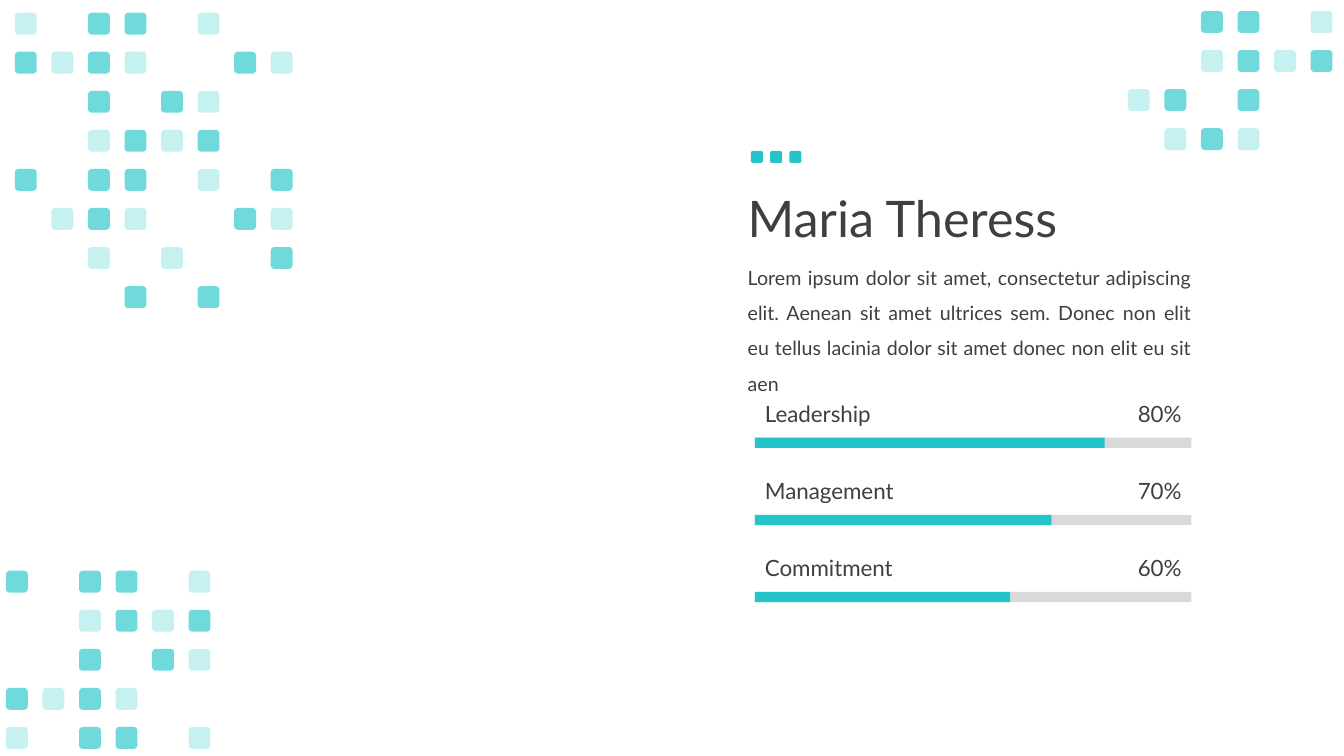
from lxml.etree import SubElement
from pptx import Presentation
from pptx.dml.color import RGBColor
from pptx.enum.shapes import MSO_SHAPE
from pptx.enum.text import MSO_ANCHOR, MSO_AUTO_SIZE, PP_ALIGN
from pptx.oxml.ns import qn
from pptx.util import Pt

TEAL, GREY, INK = "23C5CA", "D9D9D9", "3F3F3F"
TILE, COLUMN_STEP, ROW_STEP = 15.6, 26.1, 27.9
OPACITY = {"#": 65, "+": 25}

# (left, top, rows): "#" is a strong tile, "+" a pale one, "." a gap
BOTTOM_LEFT = (4.3, 407.7, [
    "#.##.+",
    "..+#+#",
    "..#.#+",
    "#+#+..",
    "+.##.+",
])
TOP_LEFT = (10.7, 9.1, [
    "+.##.+..",
    "#+#+..#+",
    "..#.#+..",
    "..+#+#..",
    "#.##.+.#",
    ".+#+..#+",
    "..+.+..#",
    "...#.#..",
])
TOP_RIGHT = (805.7, 7.9, [
    "..##.+",
    "..+#+#",
    "+#.#..",
    ".+#+..",
])

BIO = ("Lorem ipsum dolor sit amet, consectetur adipiscing elit. Aenean sit amet "
       "ultrices sem. Donec non elit eu tellus lacinia dolor sit amet donec non "
       "elit eu sit aen")
# (skill, value, length of the filled part)
SKILLS = [("Leadership", "80%", 249.8), ("Management", "70%", 211.7), ("Commitment", "60%", 182.2)]
SKILL_LEFT, SKILL_TOP, SKILL_STEP, SKILL_WIDTH = 539.3, 282, 55.1, 311.8


def colour(value):
    return RGBColor.from_string(value)


def add_block(shapes, kind, left, top, width, height, fill, opacity=100):
    block = shapes.add_shape(kind, Pt(left), Pt(top), Pt(width), Pt(height))
    block.shadow.inherit = False
    block.fill.solid()
    block.fill.fore_color.rgb = colour(fill)
    block.line.fill.background()
    if opacity < 100:
        solid = block._element.spPr.find(qn("a:solidFill"))
        SubElement(solid[0], qn("a:alpha"), val=str(opacity * 1000))


def add_tiles(page, left, top, rows):
    group = page.shapes.add_group_shape()
    for row, marks in enumerate(rows):
        for column, mark in enumerate(marks):
            if mark in OPACITY:
                add_block(group.shapes, MSO_SHAPE.ROUNDED_RECTANGLE,
                          left + column * COLUMN_STEP, top + row * ROW_STEP,
                          TILE, TILE, TEAL, OPACITY[mark])


def add_dots(page):
    group = page.shapes.add_group_shape()
    for index in range(3):
        add_block(group.shapes, MSO_SHAPE.ROUNDED_RECTANGLE,
                  536.4 + index * 13.7, 107.8, 8.6, 8.6, TEAL)


def add_text(page, text, left, top, width, height, size, anchor=MSO_ANCHOR.MIDDLE,
             grow=True, **paragraph_format):
    box = page.shapes.add_textbox(Pt(left), Pt(top), Pt(width), Pt(height))
    frame = box.text_frame
    frame.word_wrap = True
    frame.auto_size = MSO_AUTO_SIZE.SHAPE_TO_FIT_TEXT if grow else MSO_AUTO_SIZE.NONE
    frame.vertical_anchor = anchor
    para = frame.paragraphs[0]
    for name, value in paragraph_format.items():
        setattr(para, name, value)
    span = para.add_run()
    span.text = text
    for name, value in {"name": "Lato", "size": Pt(size)}.items():
        setattr(span.font, name, value)
    span.font.color.rgb = colour(INK)


def add_skill(page, top, skill, value, filled):
    for length, fill in ((SKILL_WIDTH, GREY), (filled, TEAL)):
        add_block(page.shapes, MSO_SHAPE.RECTANGLE, SKILL_LEFT, top + 30.6, length, 7.4, fill)
    add_text(page, skill, SKILL_LEFT, top, 149, 26.6, 16)
    add_text(page, value, SKILL_LEFT + SKILL_WIDTH - 76.3, top, 76.3, 26.6, 16,
             alignment=PP_ALIGN.RIGHT)


def main():
    deck = Presentation()
    deck.slide_width, deck.slide_height = Pt(960), Pt(540)
    page = deck.slides.add_slide(deck.slide_layouts[6])

    add_tiles(page, *BOTTOM_LEFT)
    add_tiles(page, *TOP_LEFT)
    add_text(page, "Maria Theress", 527, 105.8, 331.2, 104.4, 36, grow=False, line_spacing=0.9)
    add_text(page, BIO, 527, 177.8, 331.2, 80, 14, MSO_ANCHOR.TOP,
             alignment=PP_ALIGN.JUSTIFY, line_spacing=1.5)
    for index, skill in enumerate(SKILLS):
        add_skill(page, SKILL_TOP + index * SKILL_STEP, *skill)
    add_tiles(page, *TOP_RIGHT)
    add_dots(page)

    deck.save("out.pptx")


if __name__ == "__main__":
    main()
